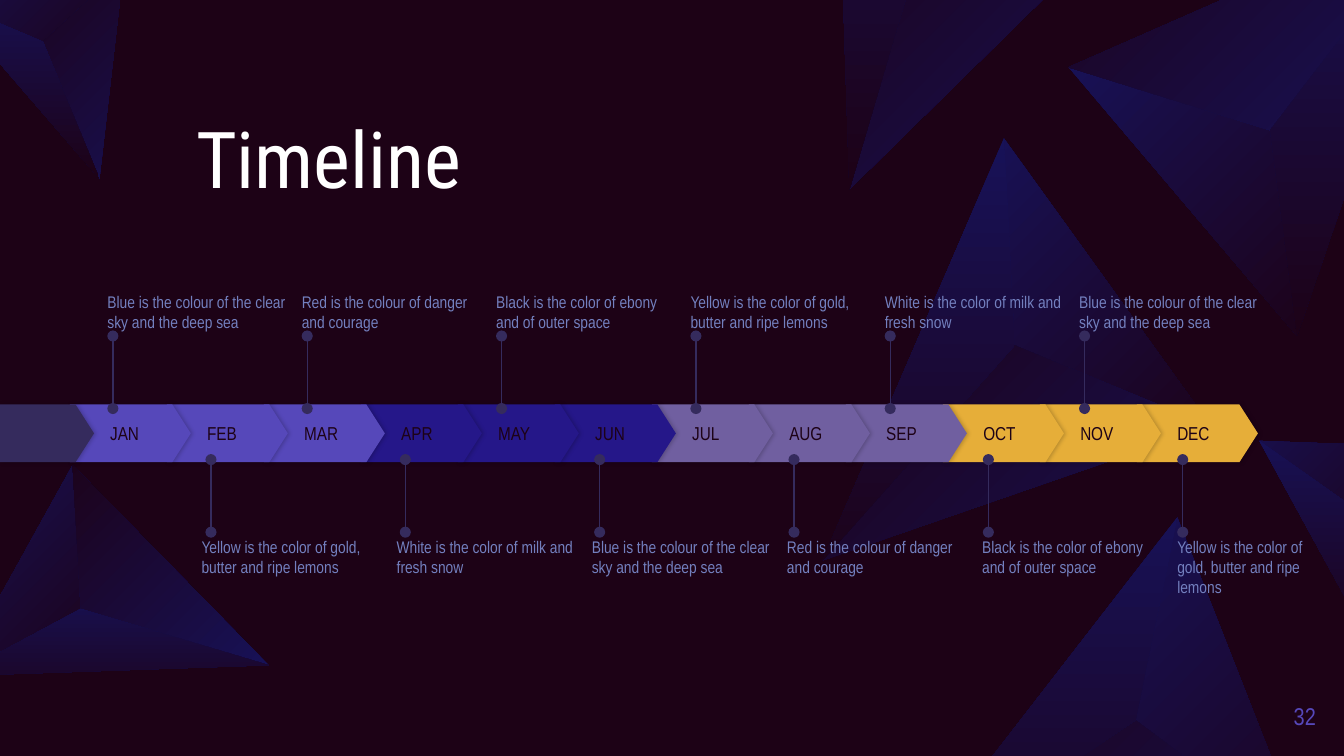
from math import cos, radians, sin

from lxml.etree import SubElement
from pptx import Presentation
from pptx.dml.color import RGBColor
from pptx.enum.shapes import MSO_CONNECTOR, MSO_SHAPE
from pptx.enum.text import MSO_ANCHOR as Anchor, PP_ALIGN as Align
from pptx.oxml.ns import qn
from pptx.util import Inches, Pt

BACKGROUND, GLOW, WHITE = "1D0216", "17125A", "FFFFFF"
DARK, CAPTION, PURPLE = "352B5D", "7380BF", "5648BA"
QUARTER_COLORS = [PURPLE, "251789", "705FA0", "E6AE39"]
MONTHS = ["JAN", "FEB", "MAR", "APR", "MAY", "JUN",
          "JUL", "AUG", "SEP", "OCT", "NOV", "DEC"]

BLUE = "Blue is the colour of the clear sky and the deep sea"
RED = "Red is the colour of danger and courage"
BLACK = "Black is the color of ebony and of outer space"
YELLOW = "Yellow is the color of gold, butter and ripe lemons"
MILK = "White is the color of milk and fresh snow"

TITLE = {"size": Pt(42), "name": "Roboto Condensed", "color": WHITE}
NUMBER = {"size": Pt(13), "name": "Arial Narrow", "color": PURPLE}
MONTH = {"size": Pt(10), "name": "Arial Narrow", "color": BACKGROUND}
NOTE = {"size": Pt(9), "name": "Arial Narrow", "color": CAPTION}

# Three outer corners with the inner apex third, and the rotation
PYRAMIDS = [
    ([(9.65, 2.5), (7.95, 0.5), (9.45, 0.97), (10.75, -0.73)], 100.5),
    ([(-0.33, 5.03), (0.54, 3.46), (0.6, 4.53), (2, 4.95)], 169.6),
    ([(7.47, 1.03), (9.01, 3.17), (7.55, 2.57), (6.12, 4.17)], 285.1),
    ([(8.76, 3.85), (9.72, 6.3), (8.45, 5.36), (6.67, 6.55)], 299.6),
    ([(9.37, 3.28), (10.73, 3.33), (10.02, 3.74), (10.22, 4.83)], 233.2),
    ([(6.21, -2), (8.51, -0.74), (6.93, -0.65), (6.32, 1.41)], 259.7),
    ([(-0.41, 0), (0.92, -0.24), (0.32, 0.31), (0.74, 1.33)], 220.8),
]


def rgb(value):
    return RGBColor.from_string(value)


def spread(first, last, count):
    return [first + (last - first) * i / (count - 1) for i in range(count)]


def turn(point, degrees):
    x, y = point
    angle = radians(degrees)
    return x * cos(angle) - y * sin(angle), x * sin(angle) + y * cos(angle)


def write(shape, text, style, anchor=Anchor.TOP, align=Align.LEFT,
          inset=0, spacing=None):
    frame = shape.text_frame
    frame.word_wrap = True
    frame.vertical_anchor = anchor
    frame.margin_left = Inches(inset)
    frame.margin_top = frame.margin_right = frame.margin_bottom = 0
    paragraph = frame.paragraphs[0]
    paragraph.alignment = align
    paragraph.line_spacing = spacing
    run = paragraph.add_run()
    run.text = text
    for key, value in style.items():
        if key == "color":
            run.font.color.rgb = rgb(value)
        else:
            setattr(run.font, key, value)


def add_text(slide, box, text, style, **options):
    write(slide.shapes.add_textbox(*map(Inches, box)), text, style, **options)


def add_facet(slide, corners, rotation, angle):
    """Draw a triangle upright, then rotate it so its corners land in place."""
    upright = [turn(corner, -rotation) for corner in corners]
    xs, ys = zip(*upright)
    center = (min(xs) + max(xs)) / 2, (min(ys) + max(ys)) / 2
    target = turn(center, rotation)
    dx, dy = target[0] - center[0], target[1] - center[1]
    points = [(Inches(x + dx), Inches(y + dy)) for x, y in upright]
    builder = slide.shapes.build_freeform(*points[0])
    builder.add_line_segments(points[1:], close=True)
    shape = builder.convert_to_shape()
    shape.rotation = rotation
    shape.shadow.inherit = False
    shape.line.fill.background()
    shape.fill.gradient()
    shape.fill.gradient_angle = angle
    for stop, color in zip(shape.fill.gradient_stops, (GLOW, BACKGROUND)):
        stop.color.rgb = rgb(color)
    # The light keeps its direction whatever the rotation
    shape._element.spPr.find(qn("a:gradFill")).set("rotWithShape", "0")


def add_pyramid(slide, corners, rotation):
    a, b, apex, d = corners
    for facet, angle in (((a, b, apex), 315), ((b, d, apex), 135),
                         ((a, apex, d), 270)):
        if max(y for _, y in facet) >= 0:  # skip facets above the slide
            add_facet(slide, facet, rotation, angle)


def add_plate(slide, box, color):
    plate = slide.shapes.add_shape(MSO_SHAPE.PENTAGON, *map(Inches, box))
    plate.adjustments[0] = 0.32
    plate.fill.solid()
    plate.fill.fore_color.rgb = rgb(color)
    plate.line.fill.background()
    plate.shadow.inherit = False
    effects = plate._element.spPr.find(qn("a:effectLst"))
    shadow = SubElement(effects, qn("a:outerShdw"), blurRad=str(Pt(2.2)),
                        dist=str(Pt(0.8)), dir="0", algn="bl",
                        rotWithShape="0")
    black = SubElement(shadow, qn("a:srgbClr"), val="000000")
    SubElement(black, qn("a:alpha"), val="20000")
    return plate


def add_band(slide, left, top, width, height):
    """Month arrows, last first so that each overlaps the next."""
    starts = spread(left + 0.52, left + width - 0.9, len(MONTHS))
    for i in reversed(range(len(MONTHS))):
        plate = add_plate(slide, (starts[i], top, 0.9, height),
                          QUARTER_COLORS[i // 3])
        write(plate, MONTHS[i], MONTH, anchor=Anchor.MIDDLE, inset=0.3)
    add_plate(slide, (left, top, 0.7, height), DARK)


def add_pin(slide, x, bottom, top):
    pin = slide.shapes.add_connector(
        MSO_CONNECTOR.STRAIGHT, *map(Inches, (x, bottom, x, top)))
    pin.line.color.rgb = rgb(DARK)
    pin.line.width = Pt(0.75)
    line = pin.line._get_or_add_ln()
    for end in ("a:headEnd", "a:tailEnd"):
        SubElement(line, qn(end), type="oval", w="med", len="med")
    SubElement(pin._element.spPr, qn("a:effectLst"))


def add_notes(slide, notes, pins, lefts, pin_bottom, top, anchor, last_width):
    widths = [1.37] * (len(notes) - 1) + [last_width]
    for note, x, left, width in zip(notes, pins, lefts, widths):
        add_pin(slide, x, pin_bottom, pin_bottom - 0.54)
        add_text(slide, (left, top, width, 0.58), note, NOTE, anchor=anchor)


def build():
    presentation = Presentation()
    presentation.slide_width = Inches(10)
    presentation.slide_height = Inches(10 * 9 / 16)
    slide = presentation.slides.add_slide(presentation.slide_layouts[6])
    slide.background.fill.solid()
    slide.background.fill.fore_color.rgb = rgb(BACKGROUND)

    # Backdrop
    for corners, rotation in PYRAMIDS:
        add_pyramid(slide, corners, rotation)

    # Title and page number
    add_text(slide, (1.46, 0.88, 7.08, 0.65), "Timeline", TITLE,
             anchor=Anchor.BOTTOM, spacing=0.9)
    add_text(slide, (9.35, 5.11, 0.44, 0.43), "32", NUMBER,
             anchor=Anchor.MIDDLE, align=Align.RIGHT)

    # Timeline with notes above and below
    add_band(slide, 0, 3.01, 9.36, 0.43)
    add_notes(slide, [BLUE, RED, BLACK, YELLOW, MILK, BLUE],
              spread(0.84, 8.07, 6), spread(0.8, 8.03, 6),
              3.04, 1.89, Anchor.BOTTOM, 1.37)
    add_notes(slide, [YELLOW, MILK, BLUE, RED, BLACK, YELLOW],
              spread(1.57, 8.8, 6), spread(1.5, 8.76, 6),
              3.96, 3.99, Anchor.TOP, 1.13)

    presentation.save("out.pptx")


if __name__ == "__main__":
    build()
